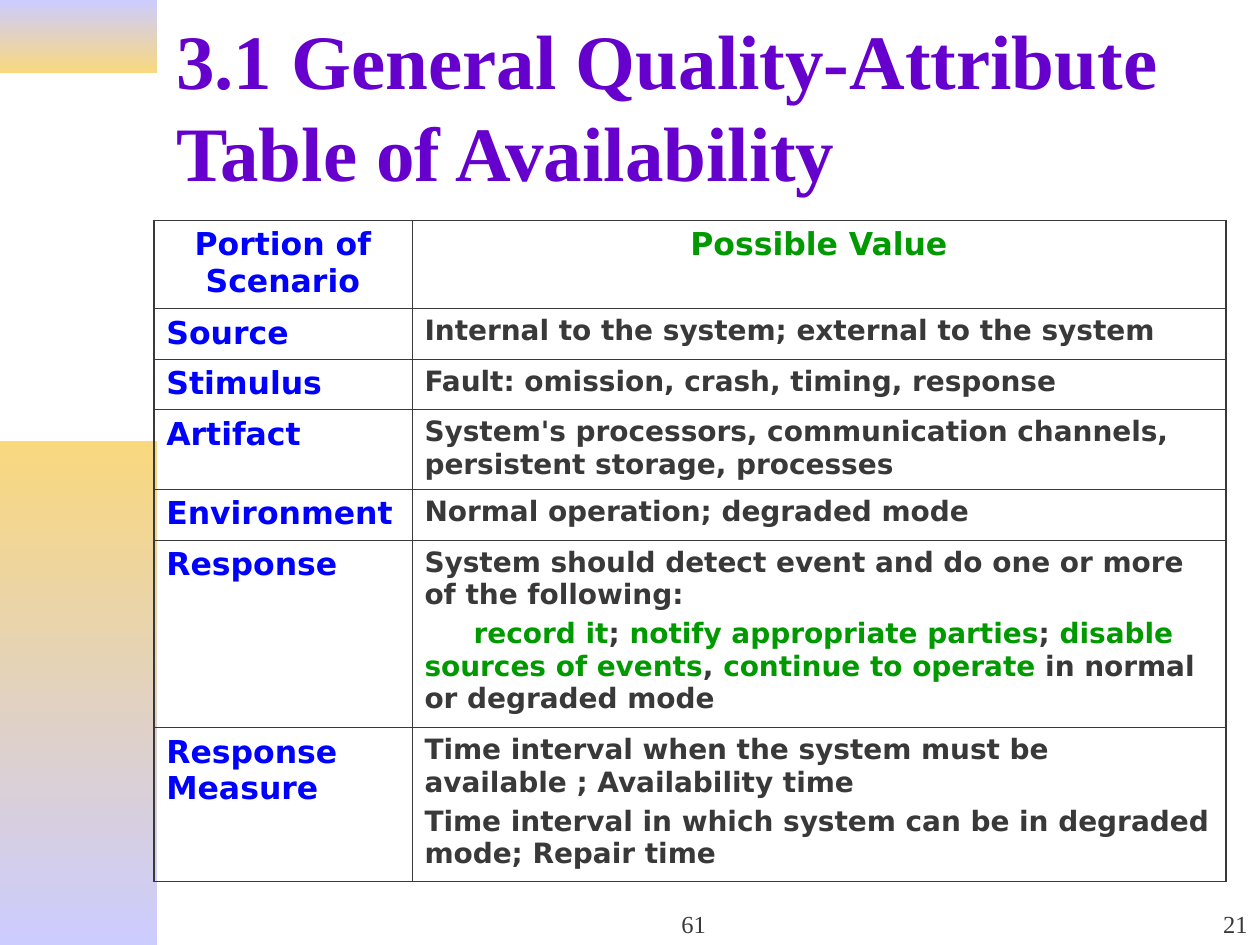
"""Builds the slide with the general quality-attribute table of availability."""
from lxml import etree
from pptx import Presentation
from pptx import util as u
from pptx.dml.color import RGBColor
from pptx.enum import shapes, text
from pptx.oxml import ns

COLOURS = {
    "title": "6600CC", "portion": "0000FF", "value": "009900",
    "body": "393939", "lilac": "CCCCFF", "gold": "F9D87E",
}
SERIF, SANS = "Times New Roman", "DejaVu Sans"
ALIGN, ANCHOR = text.PP_ALIGN, text.MSO_ANCHOR
THIN, THICK = 0.45, 1.08
PORTION_WIDTH, VALUE_WIDTH = 2.05, 6.46

PORTION_FONT = {"name": SANS, "size": u.Pt(18), "bold": True}
VALUE_FONT = {"name": SANS, "size": u.Pt(16), "bold": True}
TITLE_FONT = {"name": SERIF, "size": u.Pt(44), "bold": True}
FOOTER_FONT = {"name": SERIF, "size": u.Pt(14), "bold": False}

RESPONSES = [
    ("record it", "value"), ("; ", "body"),
    ("notify appropriate parties", "value"), ("; ", "body"),
    ("disable sources of events", "value"), (", ", "body"),
    ("continue to operate", "value"), (" in normal or degraded mode", "body"),
]
SCENARIO = [
    ("Source", 0.4, ["Internal to the system; external to the system"]),
    ("Stimulus", 0.4, ["Fault: omission, crash, timing, response"]),
    ("Artifact", 0.63, ["System's processors, communication channels, "
                        "persistent storage, processes"]),
    ("Environment", 0.4, ["Normal operation; degraded mode"]),
    ("Response", 1.49, ["System should detect event and do one or more of the following:",
                        RESPONSES]),
    ("Response Measure", 1.22, [
        "Time interval when the system must be available ; Availability time",
        "Time interval in which system can be in degraded mode; Repair time"]),
]


def rgb(name):
    return RGBColor.from_string(COLOURS[name])


def apply(target, values):
    for key, value in values.items():
        setattr(target, key, value)


def write(paragraph, pieces, font, **layout):
    apply(paragraph, layout)
    for words, colour in pieces:
        run = paragraph.add_run()
        run.text = words
        apply(run.font, font)
        run.font.color.rgb = rgb(colour)


def add_band(slide, top, height, upper, lower):
    band = slide.shapes.add_shape(shapes.MSO_SHAPE.RECTANGLE, 0, u.Inches(top),
                                  u.Inches(1.25), u.Inches(height))
    band.shadow.inherit = False
    band.line.fill.background()
    band.fill.gradient()
    band.fill.gradient_angle = 270
    for stop, colour, position in zip(band.fill.gradient_stops, (upper, lower), (0, 1)):
        stop.color.rgb = rgb(colour)
        stop.position = position


def add_label(slide, area, words, colour, font, anchor, alignment):
    label = slide.shapes.add_textbox(*map(u.Inches, area))
    apply(label.text_frame, {"word_wrap": True, "vertical_anchor": anchor})
    write(label.text_frame.paragraphs[0], [(words, colour)], font, alignment=alignment)


def outline(cell, **widths):
    properties = cell._tc.get_or_add_tcPr()
    for side in "LRTB":
        line = etree.SubElement(properties, ns.qn(f"a:ln{side}"),
                                w=str(u.Pt(widths.get(side, THIN))))
        fill = etree.SubElement(line, ns.qn("a:solidFill"))
        etree.SubElement(fill, ns.qn("a:srgbClr"), val=COLOURS["body"])
    cell.fill.background()


def fill_portion(cell, words, colour="portion", alignment=ALIGN.LEFT):
    write(cell.text_frame.paragraphs[0], [(words, colour)], PORTION_FONT,
          alignment=alignment, space_before=u.Pt(4.5))


def fill_value(cell, passages):
    frame = cell.text_frame
    for index, passage in enumerate(passages):
        paragraph = frame.add_paragraph() if index else frame.paragraphs[0]
        plain = isinstance(passage, str)
        write(paragraph, [(passage, "body")] if plain else passage, VALUE_FONT,
              space_before=u.Pt(4))
        if not plain:
            paragraph._p.get_or_add_pPr().set("indent", str(u.Inches(0.39)))


def add_scenario_table(slide):
    heights = [0.7] + [height for _, height, _ in SCENARIO]
    table = slide.shapes.add_table(
        len(heights), 2, u.Inches(1.22), u.Inches(1.75),
        u.Inches(PORTION_WIDTH + VALUE_WIDTH), u.Inches(sum(heights))).table
    apply(table, {"first_row": False, "horz_banding": False})
    for column, width in zip(table.columns, (PORTION_WIDTH, VALUE_WIDTH)):
        column.width = u.Inches(width)
    last = len(heights) - 1
    for index, height in enumerate(heights):
        table.rows[index].height = u.Inches(height)
        edges = {"T": THIN if index else THICK, "B": THICK if index == last else THIN}
        outline(table.cell(index, 0), L=THICK, **edges)
        outline(table.cell(index, 1), R=THICK, **edges)
    fill_portion(table.cell(0, 0), "Portion of Scenario", alignment=ALIGN.CENTER)
    fill_portion(table.cell(0, 1), "Possible Value", "value", ALIGN.CENTER)
    for index, (portion, _, passages) in enumerate(SCENARIO, 1):
        fill_portion(table.cell(index, 0), portion)
        fill_value(table.cell(index, 1), passages)


def main():
    deck = Presentation()
    apply(deck, {"slide_width": u.Inches(10), "slide_height": u.Inches(7.5)})
    slide = deck.slides.add_slide(deck.slide_layouts[6])
    add_band(slide, 0, 0.58, "lilac", "gold")
    add_band(slide, 3.5, 4, "gold", "lilac")
    add_label(slide, (1.3, 0.11, 8.2, 1.44),
              "3.1 General Quality-Attribute Table of Availability",
              "title", TITLE_FONT, ANCHOR.MIDDLE, ALIGN.LEFT)
    add_scenario_table(slide)
    add_label(slide, (3.92, 7, 3.17, 0.5), "61", "body", FOOTER_FONT,
              ANCHOR.BOTTOM, ALIGN.CENTER)
    add_label(slide, (7.92, 7, 2.08, 0.5), "21", "body", FOOTER_FONT,
              ANCHOR.BOTTOM, ALIGN.RIGHT)
    deck.save("out.pptx")


if __name__ == "__main__":
    main()
